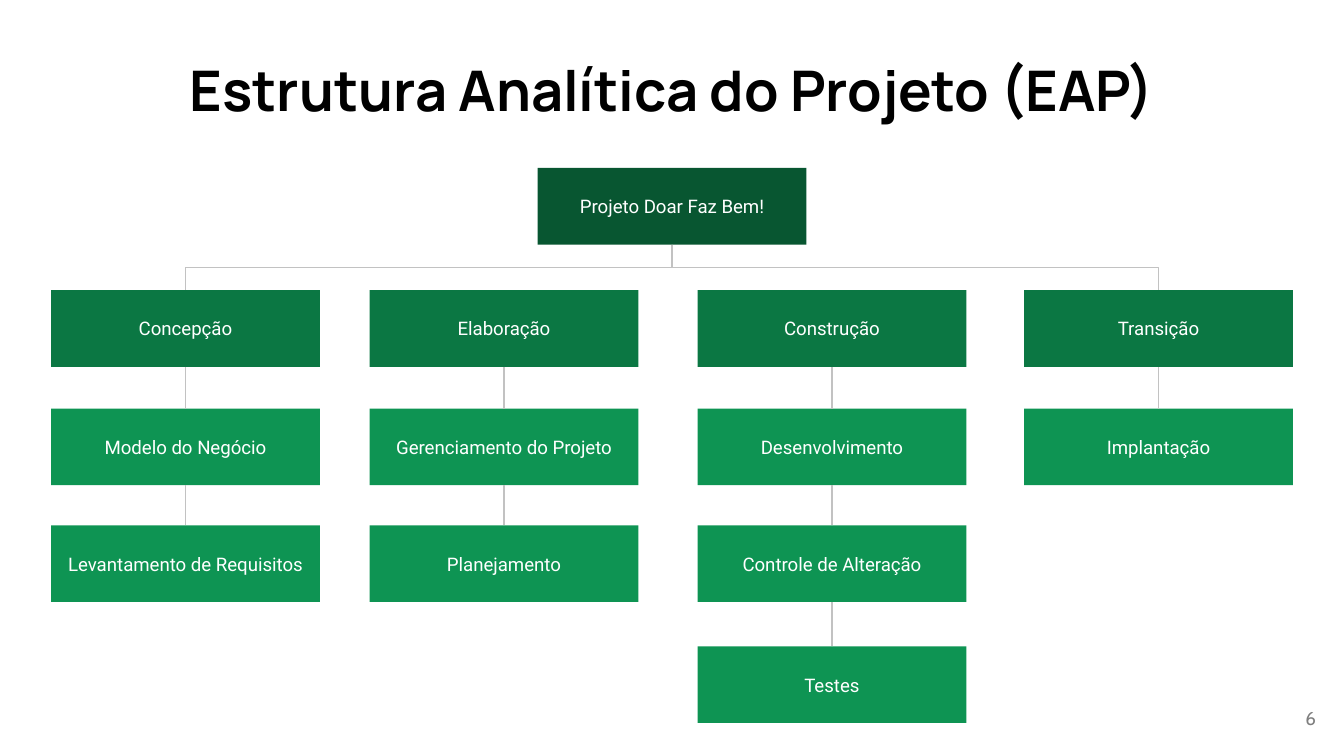
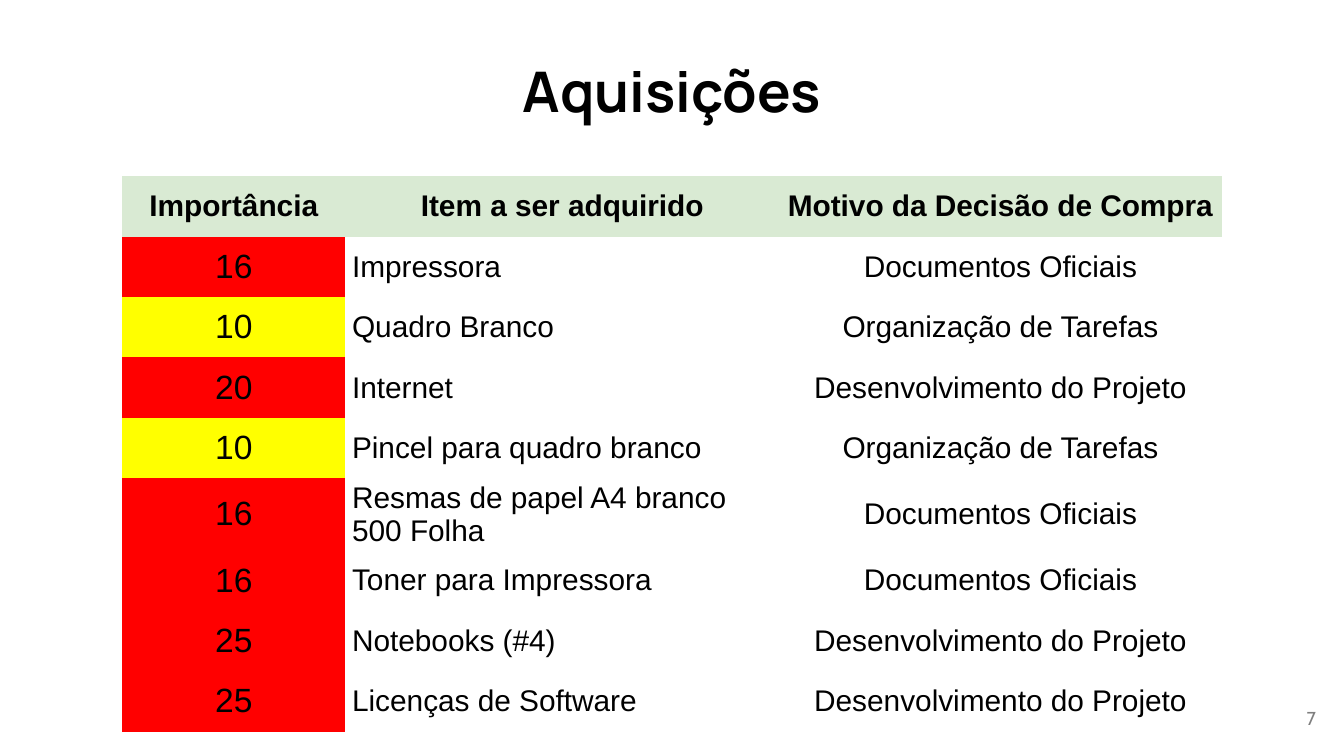
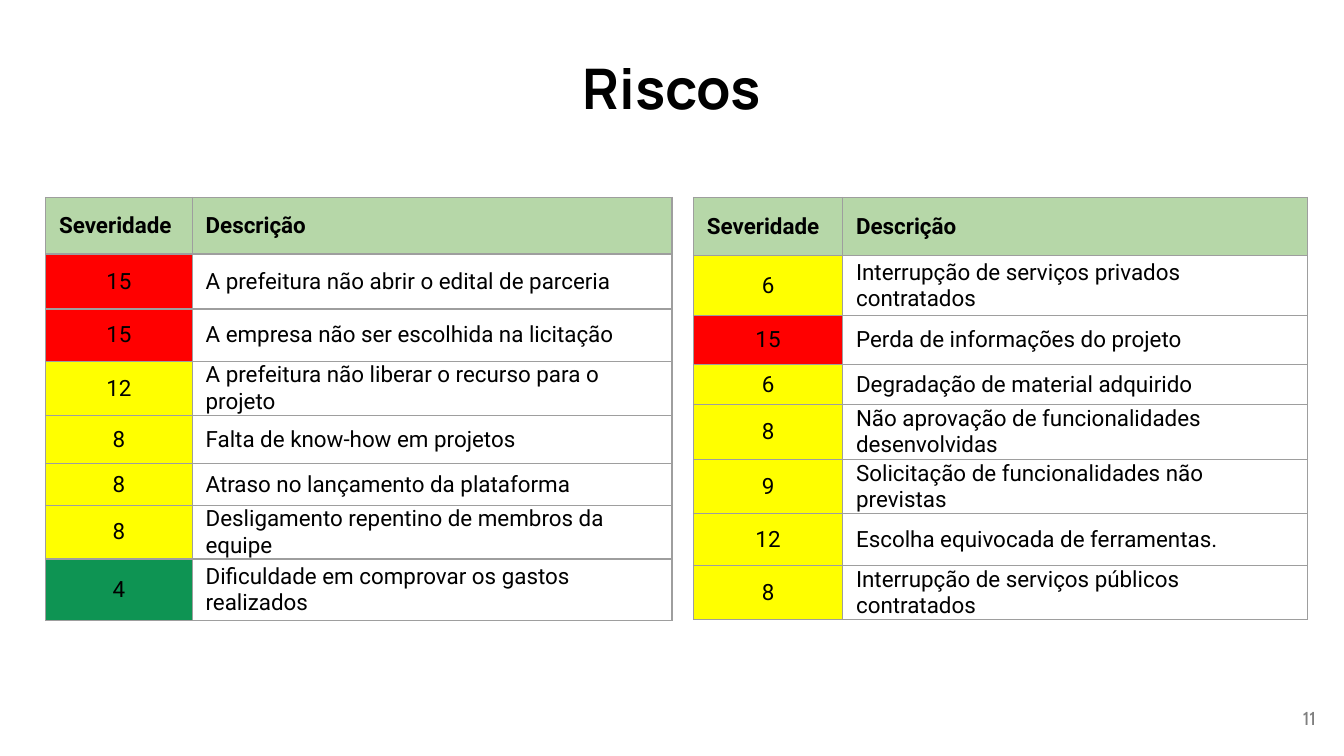
from lxml import etree
from pptx import Presentation
from pptx import util as u
from pptx.dml import color
from pptx.enum import shapes, text
from pptx.oxml import ns

BLACK, WHITE, GREY = "000000", "FFFFFF", "7F7F7F"
DARK_GREEN, MID_GREEN, GREEN = "085631", "0B7743", "0E9453"
RED, YELLOW = "FF0000", "FFFF00"
CONNECTOR_GREY, BORDER_GREY = "C2C2C2", "9E9E9E"
LEFT, CENTER, RIGHT = text.PP_ALIGN.LEFT, text.PP_ALIGN.CENTER, text.PP_ALIGN.RIGHT
TOP, MIDDLE = text.MSO_ANCHOR.TOP, text.MSO_ANCHOR.MIDDLE


def rgb(value):
    return color.RGBColor.from_string(value)


def write(frame, words, size=10, font="Roboto", ink=BLACK, bold=False, align=LEFT):
    paragraph = frame.paragraphs[0]
    paragraph.alignment = align
    run = paragraph.add_run()
    run.text = words
    run.font.size = u.Pt(size)
    run.font.name = font
    run.font.bold = bold
    run.font.color.rgb = rgb(ink)


def level_color(level):
    if level >= 15:
        return RED
    return YELLOW if level >= 6 else GREEN


def set_borders(cell, ink):
    """Draw all four cell edges, or hide them when ink is None."""
    properties = cell._tc.get_or_add_tcPr()
    for position, edge in enumerate(("a:lnL", "a:lnR", "a:lnT", "a:lnB")):
        line = etree.Element(ns.qn(edge), w=str(u.Pt(0.75)))
        if ink:
            fill = etree.SubElement(line, ns.qn("a:solidFill"))
            etree.SubElement(fill, ns.qn("a:srgbClr"), val=ink)
        else:
            etree.SubElement(line, ns.qn("a:noFill"))
        properties.insert(position, line)


class Deck:
    def __init__(self):
        self.file = Presentation()
        # Widescreen, 16:9
        self.file.slide_width = u.Inches(10)
        self.file.slide_height = u.Inches(10) * 9 // 16
        self.slide = None

    def new_slide(self, title, number, title_top=0.32, title_anchor=TOP):
        self.slide = self.file.slides.add_slide(self.file.slide_layouts[6])
        background = self.slide.background.fill
        background.solid()
        background.fore_color.rgb = rgb(WHITE)
        self.label(title, 0.34, title_top, 9.32, 0.68, anchor=title_anchor, size=30,
                   font="Manrope", bold=True, align=CENTER)
        self.label(str(number), 9.29, 5.13, 0.6, 0.43, font="Cabin", ink=GREY, align=RIGHT)

    def label(self, words, left, top, width, height, anchor=MIDDLE, **style):
        place = map(u.Inches, (left, top, width, height))
        frame = self.slide.shapes.add_textbox(*place).text_frame
        frame.margin_left = frame.margin_right = u.Inches(0.1)
        frame.margin_top = frame.margin_bottom = u.Inches(0.1)
        frame.word_wrap = True
        frame.vertical_anchor = anchor
        write(frame, words, **style)

    def box(self, words, left, top, width, height, fill):
        place = map(u.Inches, (left, top, width, height))
        box = self.slide.shapes.add_shape(shapes.MSO_SHAPE.RECTANGLE, *place)
        box.shadow.inherit = False
        box.fill.solid()
        box.fill.fore_color.rgb = rgb(fill)
        box.line.fill.background()
        frame = box.text_frame
        frame.margin_top = frame.margin_bottom = u.Inches(0.1)
        frame.word_wrap = True
        frame.vertical_anchor = MIDDLE
        write(frame, words, ink=WHITE, align=CENTER)

    def elbow(self, x1, y1, x2, y2):
        """Connector leaving downwards: a horizontal elbow turned by 90 degrees."""
        middle_x, middle_y = (x1 + x2) / 2, (y1 + y2) / 2
        half_x, half_y = (x2 - x1) / 2, (y2 - y1) / 2
        ends = (middle_x - half_y, middle_y + half_x, middle_x + half_y, middle_y - half_x)
        link = self.slide.shapes.add_connector(
            shapes.MSO_CONNECTOR.ELBOW, *map(u.Inches, ends))
        link.line.color.rgb = rgb(CONNECTOR_GREY)
        link.line.width = u.Pt(0.75)
        properties = link._element.spPr
        properties.find(ns.qn("a:xfrm")).set("rot", str(90 * 60000))
        etree.SubElement(properties, ns.qn("a:effectLst"))

    def table(self, header, rows, left, top, widths, heights, header_fill, aligns,
              header_align, margin, size, level_size, font, border=None):
        """Table whose first column is a level that sets its cell colour."""
        place = map(u.Inches, (left, top, sum(widths), sum(heights)))
        holder = self.slide.shapes.add_table(len(rows) + 1, len(header), *place)
        table = holder.table
        table.first_row = table.horz_banding = False
        for column, width in zip(table.columns, widths):
            column.width = u.Inches(width)
        for row, height in zip(table.rows, heights):
            row.height = u.Inches(height)
        # A small frame keeps rows from stretching beyond their text
        holder.width = holder.height = u.Inches(3.28)
        for r, values in enumerate([header, *rows]):
            for c, value in enumerate(values):
                cell = table.cell(r, c)
                cell.margin_left = cell.margin_right = u.Inches(margin)
                cell.margin_top = cell.margin_bottom = 0
                cell.vertical_anchor = MIDDLE
                is_header, is_level = r == 0, r > 0 and c == 0
                fill = header_fill if is_header else level_color(value) if is_level else None
                if fill:
                    cell.fill.solid()
                    cell.fill.fore_color.rgb = rgb(fill)
                else:
                    cell.fill.background()
                set_borders(cell, border)
                write(cell.text_frame, str(value), size=level_size if is_level else size,
                      font=font, bold=is_header,
                      align=header_align if is_header else aligns[c])


def work_breakdown(deck):
    deck.new_slide("Estrutura Analítica do Projeto (EAP)", 6, title_anchor=MIDDLE)
    width, height, root_left, root_top = 2, 0.57, 4, 1.25
    tops = (2.16, 3.04, 3.91, 4.81)
    phases = [
        (0.38, ["Concepção", "Modelo do Negócio", "Levantamento de Requisitos"]),
        (2.75, ["Elaboração", "Gerenciamento do Projeto", "Planejamento"]),
        (5.19, ["Construção", "Desenvolvimento", "Controle de Alteração", "Testes"]),
        (7.62, ["Transição", "Implantação"]),
    ]
    deck.box("Projeto Doar Faz Bem!", root_left, root_top, width, height, DARK_GREEN)
    for left, steps in phases:
        center = left + width / 2
        for level, (step, top) in enumerate(zip(steps, tops)):
            deck.box(step, left, top, width, height, GREEN if level else MID_GREEN)
            if level:
                deck.elbow(center, tops[level - 1] + height, center, top)
    # Only the outer phases are linked to the project
    for left in (phases[0][0], phases[-1][0]):
        deck.elbow(root_left + width / 2, root_top + height, left + width / 2, tops[0])


def purchases(deck):
    deck.new_slide("Aquisições", 7)
    documents, tasks = "Documentos Oficiais", "Organização de Tarefas"
    development = "Desenvolvimento do Projeto"
    items = [
        (16, "Impressora", documents),
        (10, "Quadro Branco", tasks),
        (20, "Internet", development),
        (10, "Pincel para quadro branco", tasks),
        (16, "Resmas de papel A4 branco 500 Folha", documents),
        (16, "Toner para Impressora", documents),
        (25, "Notebooks (#4)", development),
        (25, "Licenças de Software", development),
    ]
    deck.table(("Importância", "Item a ser adquirido", "Motivo da Decisão de Compra"), items,
               0.91, 1.31, (1.66, 3.23, 3.29), [0.45] * 9, "D9EAD3",
               (CENTER, LEFT, CENTER), CENTER, margin=0.05, size=16, level_size=18,
               font="Arial")


def risks(deck):
    deck.new_slide("Riscos", 11, title_top=0.3)
    first_risks = [
        (15, "A prefeitura não abrir o edital de parceria"),
        (15, "A empresa não ser escolhida na licitação"),
        (12, "A prefeitura não liberar o recurso para o projeto"),
        (8, "Falta de know-how em projetos"),
        (8, "Atraso no lançamento da plataforma"),
        (8, "Desligamento repentino de membros da equipe"),
        (4, "Dificuldade em comprovar os gastos realizados"),
    ]
    more_risks = [
        (6, "Interrupção de serviços privados contratados"),
        (15, "Perda de informações do projeto"),
        (6, "Degradação de material adquirido"),
        (8, "Não aprovação de funcionalidades desenvolvidas"),
        (9, "Solicitação de funcionalidades não previstas"),
        (12, "Escolha equivocada de ferramentas."),
        (8, "Interrupção de serviços públicos contratados"),
    ]
    halves = [
        (first_risks, 0.34, (1.09, 3.57), (0.42, 0.41, 0.39, 0.36, 0.36, 0.31, 0.39, 0.46)),
        (more_risks, 5.16, (1.11, 3.46), (0.43, 0.45, 0.36, 0.3, 0.41, 0.36, 0.39, 0.39)),
    ]
    for rows, left, widths, heights in halves:
        deck.table(("Severidade", "Descrição"), rows, left, 1.47, widths, heights, "B6D7A8",
                   (CENTER, LEFT), LEFT, margin=0.1, size=12, level_size=12,
                   font="Roboto", border=BORDER_GREY)


def main():
    deck = Deck()
    work_breakdown(deck)
    purchases(deck)
    risks(deck)
    deck.file.save("out.pptx")


if __name__ == "__main__":
    main()
